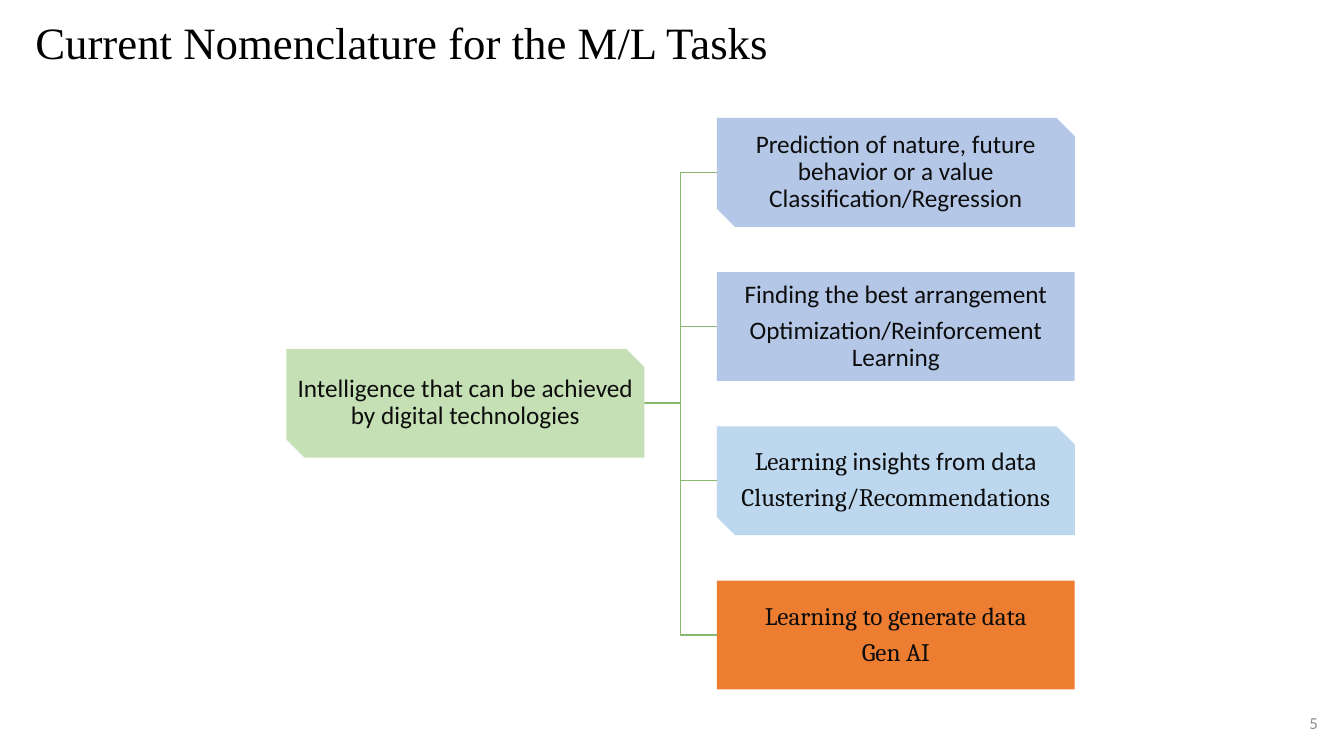
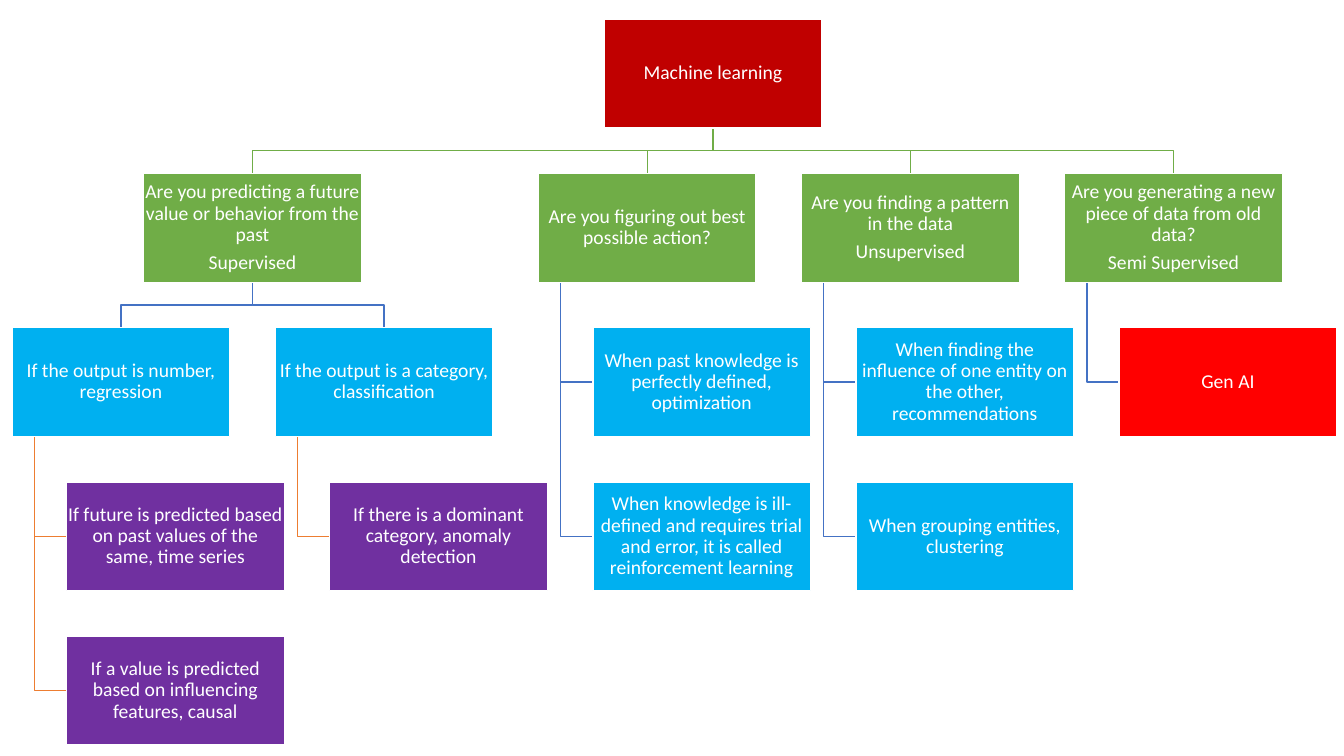
from pptx import Presentation
from pptx.dml.color import RGBColor
from pptx.enum.shapes import MSO_SHAPE
from pptx.enum.text import MSO_ANCHOR, PP_ALIGN
from pptx.util import Inches, Pt

COLORS = {
    "black": "000000", "ink": "0D0D0D", "white": "FFFFFF", "gray": "8C8C8C",
    "pale_green": "C5E0B4", "pale_blue": "B4C7E7", "sky": "BDD7EE",
    "orange": "ED7D31", "sage": "88B76F", "green": "70AD47", "blue": "4472C4",
    "dark_red": "C00000", "cyan": "00B0F0", "purple": "7030A0", "red": "FF0000",
}
RGB = {name: RGBColor.from_string(value) for name, value in COLORS.items()}
FONT, SERIF, TITLE_FONT = "Calibri", "Cambria", "Times New Roman"


def add_box(slide, preset, bounds, fill, text, size, color, font=FONT, outline=None):
    box = slide.shapes.add_shape(preset, *[Inches(v) for v in bounds])
    box.shadow.inherit = False
    box.fill.solid()
    box.fill.fore_color.rgb = RGB[fill]
    if outline:
        box.line.color.rgb = RGB[outline]
        box.line.width = Pt(1)
    else:
        box.line.fill.background()
    frame = box.text_frame
    frame.word_wrap = True
    frame.vertical_anchor = MSO_ANCHOR.MIDDLE
    frame.margin_left = frame.margin_right = Inches(0.01)
    frame.margin_top = frame.margin_bottom = Inches(0.01)
    frame.text = text
    for paragraph in frame.paragraphs:
        paragraph.alignment = PP_ALIGN.CENTER
        paragraph.line_spacing = 0.9
        paragraph.space_after = Pt(size * 0.35)
        paragraph.font.size = Pt(size)
        paragraph.font.color.rgb = RGB[color]
        for run in paragraph.runs:
            run.font.name = font
    return box


def add_elbow(slide, points, color):
    start, *rest = [(Inches(x), Inches(y)) for x, y in points]
    builder = slide.shapes.build_freeform(*start)
    builder.add_line_segments(rest, close=False)
    elbow = builder.convert_to_shape()
    elbow.shadow.inherit = False
    elbow.fill.background()
    elbow.line.color.rgb = RGB[color]
    elbow.line.width = Pt(1)


prs = Presentation()
prs.slide_width, prs.slide_height = Inches(13.33), Inches(7.5)
blank = prs.slide_layouts[6]

tasks = prs.slides.add_slide(blank)
SNIP, RECT = MSO_SHAPE.SNIP_2_DIAG_RECTANGLE, MSO_SHAPE.RECTANGLE
TASK_W, TASK_H = 3.55, 1.08
goal_left, goal_top, task_left, task_top, task_pitch = 2.84, 3.46, 7.11, 1.17, 1.53
goal_right, goal_middle = goal_left + TASK_W, goal_top + TASK_H / 2
trunk_x = (goal_right + task_left) / 2

task_rows = [
    (SNIP, "pale_blue", FONT, "Prediction of nature, future behavior or a value Classification/Regression"),
    (RECT, "pale_blue", FONT, "Finding the best arrangement\nOptimization/Reinforcement Learning"),
    (SNIP, "sky", SERIF, "Learning\nClustering/Recommendations"),
    (RECT, "orange", SERIF, "Learning to generate data\nGen AI"),
]
for row in range(len(task_rows)):
    task_middle = task_top + row * task_pitch + TASK_H / 2
    add_elbow(tasks, [(goal_right, goal_middle), (trunk_x, goal_middle),
                      (trunk_x, task_middle), (task_left, task_middle)], "sage")

add_box(tasks, SNIP, (goal_left, goal_top, TASK_W, TASK_H), "pale_green",
        "Intelligence that can be achieved by digital technologies", 18, "ink")
task_boxes = [
    add_box(tasks, preset, (task_left, task_top + row * task_pitch, TASK_W, TASK_H),
            fill, text, 18, "ink", font)
    for row, (preset, fill, font, text) in enumerate(task_rows)
]
insights = task_boxes[2].text_frame.paragraphs[0].add_run()
insights.text = " insights from data"
insights.font.name = FONT

captions = [
    ((10.17, 6.92, 3, 0.4), "5", 12, FONT, "gray", PP_ALIGN.RIGHT, MSO_ANCHOR.BOTTOM, 0.1),
    ((0, 0.13, 9.75, 0.64), "Current Nomenclature for the M/L Tasks", 32, TITLE_FONT,
     "black", PP_ALIGN.LEFT, MSO_ANCHOR.MIDDLE, 0.35),
]
for bounds, text, size, font, color, align, anchor, margin in captions:
    frame = tasks.shapes.add_textbox(*[Inches(v) for v in bounds]).text_frame
    frame.word_wrap = True
    frame.vertical_anchor = anchor
    frame.margin_left = Inches(margin)
    frame.text = text
    caption = frame.paragraphs[0]
    caption.alignment = align
    caption.line_spacing = 0.9
    caption.font.size = Pt(size)
    caption.font.name = font
    caption.font.color.rgb = RGB[color]

tree = prs.slides.add_slide(blank)
NODE_W, NODE_H = 2.16, 1.08
tree_left, tree_top, column_pitch, row_pitch = 0.12, 0.19, 2.61, 1.53
hang_indent, hang_trunk = 0.54, 0.22
level_colors = ["green", "blue", "orange"]

nodes = [
    ("root", None, 2.25, 0, False, "dark_red", "Machine learning"),
    ("supervised", "root", 0.5, 1, False, "green",
     "Are you predicting a future value or behavior from the past\nSupervised"),
    ("regression", "supervised", 0, 2, False, "cyan", "If the output is number, regression"),
    ("series", "regression", 0, 3, True, "purple",
     "If future is predicted based on past values of the same, time series"),
    ("causal", "regression", 0, 4, True, "purple",
     "If a value is predicted based on influencing features, causal"),
    ("classification", "supervised", 1, 2, False, "cyan",
     "If the output is a category, classification"),
    ("anomaly", "classification", 1, 3, True, "purple",
     "If there is a dominant category, anomaly detection"),
    ("action", "root", 2, 1, False, "green", "Are you figuring out best possible action?"),
    ("optimization", "action", 2, 2, True, "cyan",
     "When past knowledge is perfectly defined, optimization"),
    ("reinforcement", "action", 2, 3, True, "cyan",
     "When knowledge is ill-defined and requires trial and error, it is called reinforcement learning"),
    ("unsupervised", "root", 3, 1, False, "green",
     "Are you finding a pattern in the data\nUnsupervised"),
    ("recommendations", "unsupervised", 3, 2, True, "cyan",
     "When finding the influence of one entity on the other, recommendations"),
    ("clustering", "unsupervised", 3, 3, True, "cyan", "When grouping entities, clustering"),
    ("semi", "root", 4, 1, False, "green",
     "Are you generating a new piece of data from old data?\nSemi Supervised"),
    ("generation", "semi", 4, 2, True, "red", "Gen AI"),
]
corners = {
    key: (tree_left + column * column_pitch + hang_indent * hanging, tree_top + row * row_pitch)
    for key, parent, column, row, hanging, fill, text in nodes
}
levels = {key: row for key, parent, column, row, *rest in nodes}

for key, parent, column, row, hanging, fill, text in nodes:
    if parent is None:
        continue
    left, top = corners[key]
    parent_left, parent_top = corners[parent]
    parent_bottom = parent_top + NODE_H
    if hanging:
        trunk, middle = parent_left + hang_trunk, top + NODE_H / 2
        route = [(trunk, parent_bottom), (trunk, middle), (left, middle)]
    else:
        parent_center, center = parent_left + NODE_W / 2, left + NODE_W / 2
        bend = (parent_bottom + top) / 2
        route = [(parent_center, parent_bottom), (parent_center, bend), (center, bend), (center, top)]
    add_elbow(tree, route, level_colors[levels[parent]])

for key, parent, column, row, hanging, fill, text in nodes:
    add_box(tree, RECT, (*corners[key], NODE_W, NODE_H), fill, text, 14, "white", outline="white")

prs.save("out.pptx")
